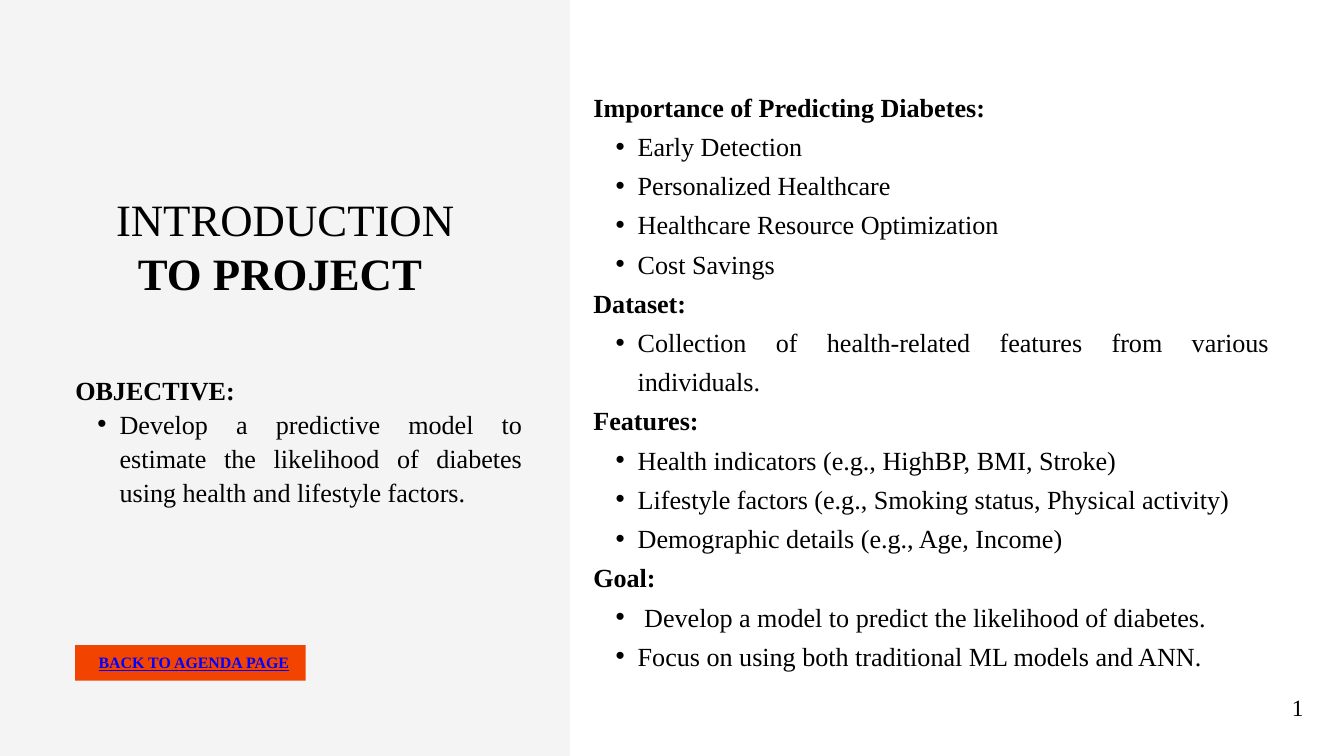
from lxml import etree
from pptx import Presentation
from pptx.dml.color import RGBColor
from pptx.enum.shapes import MSO_SHAPE as Shape
from pptx.enum.text import MSO_ANCHOR as Anchor, PP_ALIGN as Align
from pptx.oxml.ns import qn
from pptx.util import Inches, Pt

FONT = "Times New Roman"
BLACK, WHITE, PANEL, ORANGE, LINK = "000000", "FFFFFF", "F4F4F4", "F24300", "0000FF"

OBJECTIVE = [
    ("OBJECTIVE: ", [
        "Develop a predictive model to estimate the likelihood of diabetes "
        "using health and lifestyle factors.",
    ]),
]
DETAILS = [
    ("Importance of Predicting Diabetes:", [
        "Early Detection",
        "Personalized Healthcare",
        "Healthcare Resource Optimization",
        "Cost Savings",
    ]),
    ("Dataset: ", [
        "Collection of health-related features from various individuals. ",
    ]),
    ("Features:", [
        "Health indicators (e.g., HighBP, BMI, Stroke)",
        "Lifestyle factors (e.g., Smoking status, Physical activity)",
        "Demographic details (e.g., Age, Income)",
    ]),
    ("Goal:", [
        " Develop a model to predict the likelihood of diabetes. ",
        "Focus on using both traditional ML models and ANN. ",
    ]),
]


def color(value):
    return RGBColor.from_string(value)


def add_block(page, kind, left, top, width, height, fill):
    block = page.shapes.add_shape(
        kind, Inches(left), Inches(top), Inches(width), Inches(height))
    block.shadow.inherit = False
    block.fill.solid()
    block.fill.fore_color.rgb = color(fill)
    block.line.fill.background()


def add_frame(page, left, top, width, height, anchor=Anchor.TOP):
    box = page.shapes.add_textbox(
        Inches(left), Inches(top), Inches(width), Inches(height))
    frame = box.text_frame
    settings = {"word_wrap": True, "vertical_anchor": anchor, "margin_left": 0,
                "margin_top": 0, "margin_right": 0, "margin_bottom": 0}
    for name, value in settings.items():
        setattr(frame, name, value)
    return frame


def add_span(para, text, size, ink=BLACK, **formats):
    span = para.add_run()
    span.text = text
    for name, value in {"name": FONT, "size": Pt(size), **formats}.items():
        setattr(span.font, name, value)
    span.font.color.rgb = color(ink)


def set_para(para, align, spacing):
    para.alignment = align
    para.line_spacing = Pt(spacing)


def add_bullet(para):
    para.level = 1
    props = para._p.get_or_add_pPr()
    props.set("marL", str(Inches(0.66)))
    props.set("indent", str(Inches(-0.33)))
    etree.SubElement(props, qn("a:buFont"), typeface="Arial")
    etree.SubElement(props, qn("a:buChar"), char="•")


def add_outline(page, left, top, width, height, sections, spacing):
    """Bold headings, each followed by its bulleted points."""
    frame = add_frame(page, left, top, width, height)
    lines = [(text, text is heading)
             for heading, points in sections for text in (heading, *points)]
    for index, (text, is_heading) in enumerate(lines):
        para = frame.add_paragraph() if index else frame.paragraphs[0]
        if not is_heading:
            add_bullet(para)
        set_para(para, Align.JUSTIFY, spacing)
        add_span(para, text, 28, bold=is_heading)


def add_title(page, left, top, width, height):
    para = add_frame(page, left, top, width, height).paragraphs[0]
    set_para(para, Align.CENTER, 57.6)
    add_span(para, "INTRODUCTION", 48)
    add_span(para, " TO PROJECT ", 48, bold=True)


def add_agenda_button(page, left, top, width, height):
    add_block(page, Shape.RECTANGLE, left, top, width, height, ORANGE)
    frame = add_frame(page, left + 0.24, top + 0.07, width - 0.38, height - 0.2)
    para = frame.paragraphs[0]
    set_para(para, Align.CENTER, 23.8)
    add_span(para, "BACK TO AGENDA PAGE", 17, LINK, bold=True, underline=True)


def add_page_number(page, left, top, size):
    add_block(page, Shape.OVAL, left, top, size, size, WHITE)
    frame = add_frame(page, left + 0.08, top, size - 0.16, size - 0.08, Anchor.MIDDLE)
    para = frame.paragraphs[0]
    set_para(para, Align.CENTER, 32.5)
    add_span(para, "1", 25)


def add_left_panel(page, left, top, width, height):
    add_block(page, Shape.RECTANGLE, left, top, width, height, PANEL)
    add_title(page, left + 1.25, top + 2.86, 5.99, 1.69)
    add_outline(page, left + 1.12, top + 5.53, 6.65, 2.05, OBJECTIVE, 36.4)
    add_agenda_button(page, left + 1.12, top + 9.6, 3.43, 0.53)


def main():
    deck = Presentation()
    deck.slide_width, deck.slide_height = Inches(20), Inches(11.25)
    page = deck.slides.add_slide(deck.slide_layouts[6])
    add_left_panel(page, 0, 0, 8.48, 11.25)
    add_outline(page, 8.83, 1.24, 10.05, 8.62, DETAILS, 42)
    add_page_number(page, 18.88, 10.12, 0.86)
    deck.save("out.pptx")


if __name__ == "__main__":
    main()
